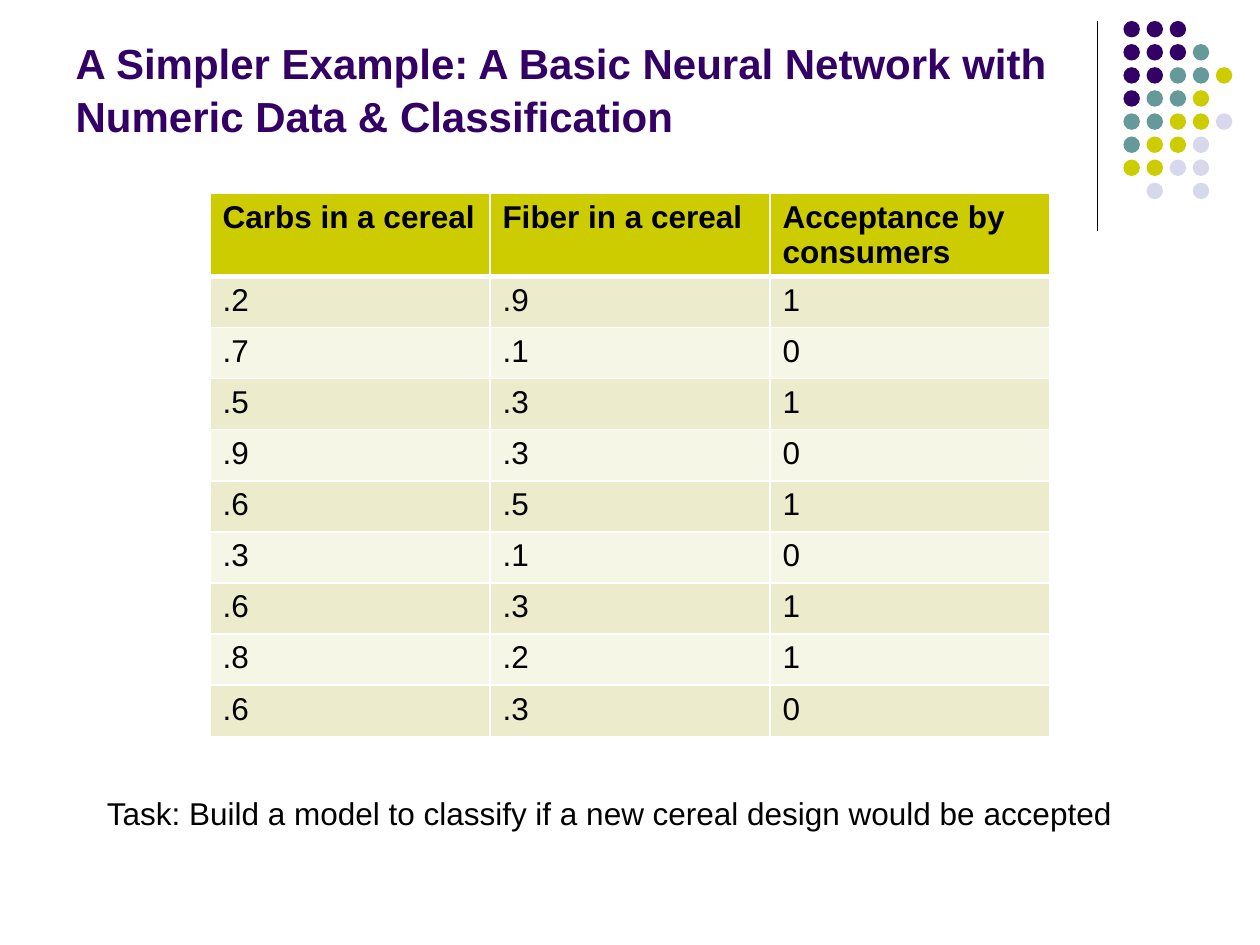
from lxml import etree
from pptx import Presentation
from pptx import util as u
from pptx.dml.color import RGBColor
from pptx.enum import shapes, text
from pptx.oxml.ns import qn

THEME = {
    "font": "Arial", "title_size": 24, "body_size": 18,
    "ink": "000000", "paper": "FFFFFF",
    "purple": "330066", "teal": "669999", "lime": "CCCC00", "mist": "D8D8EC",
    "band_dark": "ECECCC", "band_light": "F6F6E7",
}


def colour(name):
    return RGBColor.from_string(THEME[name])


def write(frame, words, size="body_size", ink="ink", bold=False, spacing=None):
    para = frame.paragraphs[0]
    para.alignment = text.PP_ALIGN.LEFT
    para.line_spacing = spacing
    span = para.add_run()
    span.text = words
    span.font.name = THEME["font"]
    span.font.size = u.Pt(THEME[size])
    span.font.bold = bold
    span.font.color.rgb = colour(ink)


# Page on a grid of 120 columns by 90 rows
deck = Presentation()
deck.slide_width, deck.slide_height = u.Inches(10), u.Inches(7.5)
page = deck.slides.add_slide(deck.slide_layouts[5])
column, row = deck.slide_width / 120, deck.slide_height / 90

# Corner rule
rule = page.shapes.add_connector(
    shapes.MSO_CONNECTOR.STRAIGHT,
    *(int(n) for n in (104.5 * column, 2 * row, 104.5 * column, 22 * row)))
rule.line.color.rgb = colour("ink")
rule.line.width = u.Pt(0.75)
etree.SubElement(rule._element.spPr, qn("a:effectLst"))

# Corner dots: one letter per dot, a space where there is none
DOT_COLOURS = {"P": "purple", "T": "teal", "L": "lime", "M": "mist"}
DOT_ROWS = ["PPP", "PPPT", "PPTTL", "PTTL", "TTLLM", "TLLM", "LLMM", " M M"]
dot_size, dot_pitch = int(1.57 * column), 2.2
for down, letters in enumerate(DOT_ROWS):
    for across, letter in enumerate(letters):
        if letter == " ":
            continue
        dot = page.shapes.add_shape(
            shapes.MSO_SHAPE.OVAL,
            int((107 + across * dot_pitch) * column),
            int((2 + down * dot_pitch) * row), dot_size, dot_size)
        dot.shadow.inherit = False
        dot.fill.solid()
        dot.fill.fore_color.rgb = colour(DOT_COLOURS[letter])
        dot.line.fill.background()

# Title
title = page.shapes.title
title.left, title.top = int(6 * column), int(-3 * row)
title.width, title.height = int(99 * column), int(17 * row)
title.text_frame.word_wrap = True
title.text_frame.auto_size = text.MSO_AUTO_SIZE.NONE
title.text_frame.vertical_anchor = text.MSO_ANCHOR.BOTTOM
write(title.text_frame,
      "A Simpler Example: A Basic Neural Network with Numeric Data & Classification",
      size="title_size", ink="purple", bold=True, spacing=1.05)

# Cereal table
CEREALS = [
    ("Carbs in a cereal", "Fiber in a cereal", "Acceptance by consumers"),
    (".2", ".9", "1"), (".7", ".1", "0"), (".5", ".3", "1"),
    (".9", ".3", "0"), (".6", ".5", "1"), (".3", ".1", "0"),
    (".6", ".3", "1"), (".8", ".2", "1"), (".6", ".3", "0"),
]
HEADER_ROWS, BODY_ROWS = 7.8, 4.87
table = page.shapes.add_table(
    len(CEREALS), 3, int(20 * column), int(18.4 * row), int(80 * column),
    int((HEADER_ROWS + 9 * BODY_ROWS) * row)).table
for down, values in enumerate(CEREALS):
    header = down == 0
    table.rows[down].height = int((HEADER_ROWS if header else BODY_ROWS) * row)
    band = "lime" if header else "band_dark" if down % 2 else "band_light"
    for across, value in enumerate(values):
        cell = table.cell(down, across)
        write(cell.text_frame, value, bold=header)
        # Borders: thick between header and body, thin elsewhere
        for side in "LRTB":
            thick = (side == "B" and header) or (side == "T" and down == 1)
            border = etree.SubElement(cell._tc.get_or_add_tcPr(), qn(f"a:ln{side}"),
                                      w=str(u.Pt(3 if thick else 1)))
            paint = etree.SubElement(border, qn("a:solidFill"))
            etree.SubElement(paint, qn("a:srgbClr"), val=THEME["paper"])
        cell.fill.solid()
        cell.fill.fore_color.rgb = colour(band)

# Task
task = page.shapes.add_textbox(
    int(9 * column), int(75 * row), int(99 * column), int(4.8 * row))
task.text_frame.word_wrap = False
task.text_frame.auto_size = text.MSO_AUTO_SIZE.SHAPE_TO_FIT_TEXT
write(task.text_frame,
      "Task: Build a model to classify if a new cereal design would be accepted")

deck.save("out.pptx")
